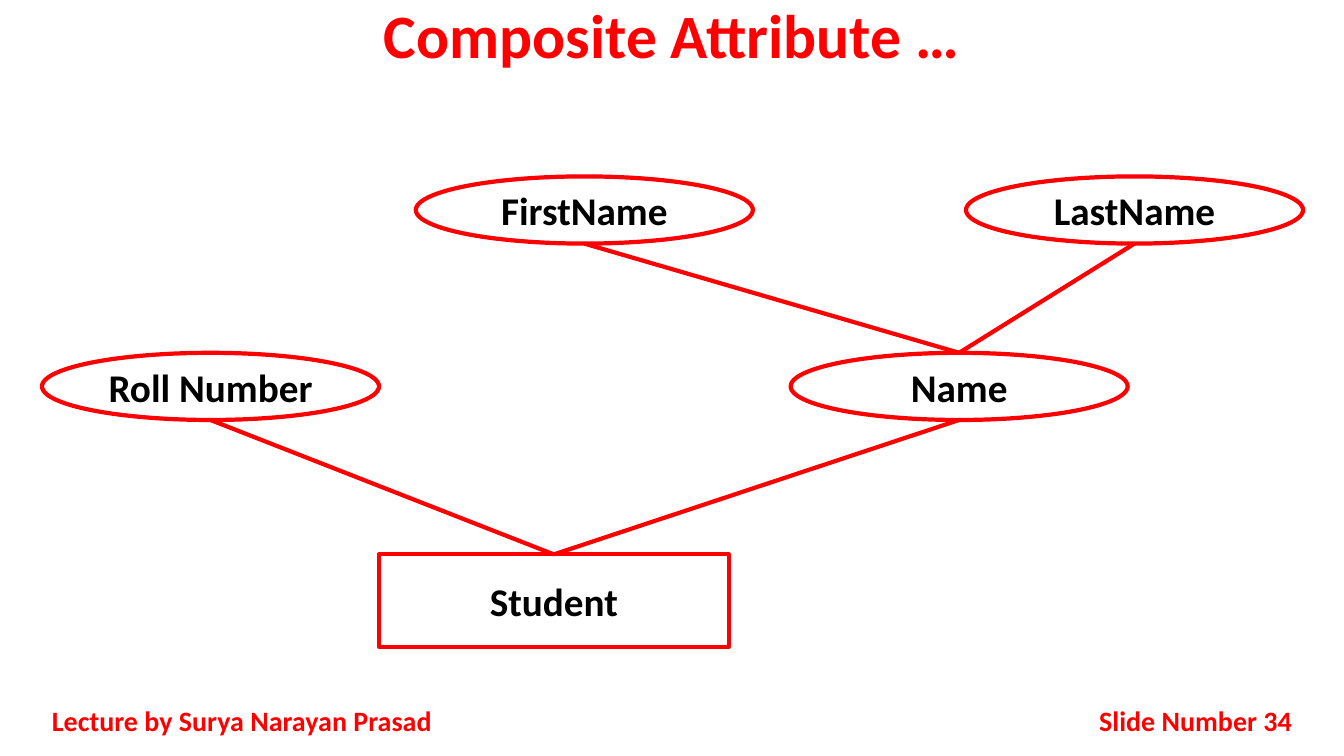
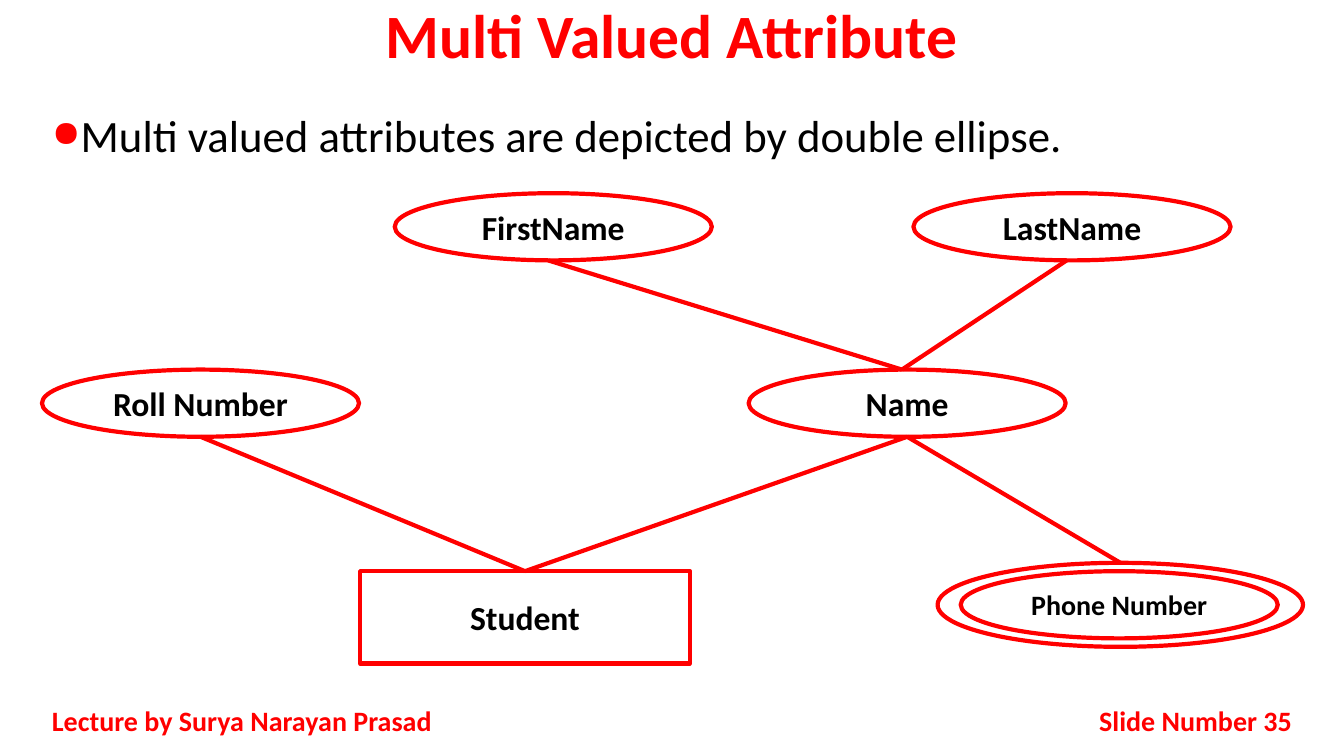
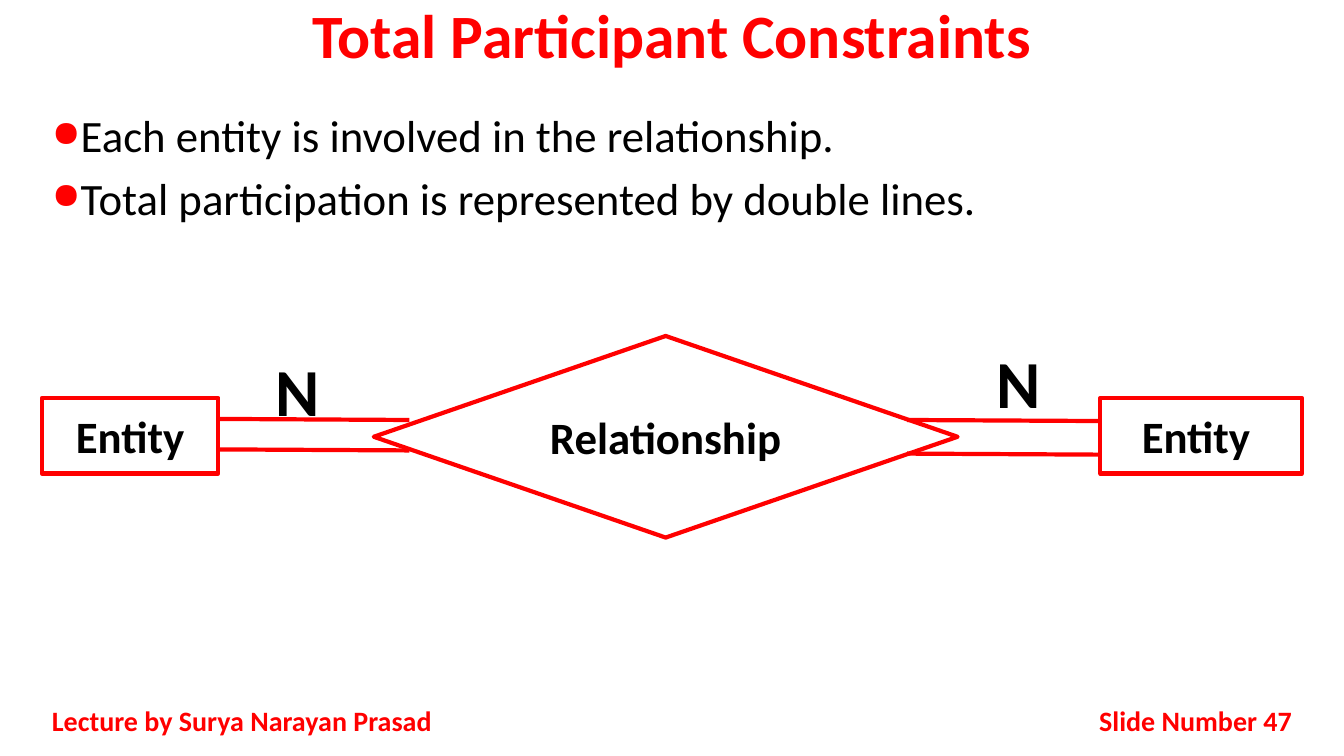
from lxml import etree
from pptx import Presentation
from pptx.dml.color import RGBColor
from pptx.enum import shapes, text
from pptx.oxml import ns
from pptx.util import Emu, Pt

PX = 9525  # EMU in one px, at 96 px to the inch
COLORS = {"accent": "FF0000", "ink": "000000"}
ALIGN = text.PP_ALIGN
ANCHOR = text.MSO_ANCHOR
PRESET = shapes.MSO_SHAPE


def px(*lengths):
    return [Emu(length * PX) for length in lengths]


def color(name):
    return RGBColor.from_string(COLORS[name])


class Deck:
    """Holds the lecture style and the slide being filled."""

    FONT = "Calibri"
    LINE_WIDTH = Pt(3)
    AUTHOR = "Lecture by Surya Narayan Prasad"

    def __init__(self):
        self.presentation = Presentation()
        size = px(1280, 720)
        self.presentation.slide_width, self.presentation.slide_height = size
        self.slide = None

    def new_slide(self, title, number):
        layout = self.presentation.slide_layouts[6]
        self.slide = self.presentation.slides.add_slide(layout)
        self.text_box((0, 0, 1280, 80), title, 44, "accent", spacing=0.9)
        footer = {"size": 20, "ink": "accent", "anchor": ANCHOR.MIDDLE}
        self.text_box((40, 667, 400, 38), self.AUTHOR,
                      align=ALIGN.JUSTIFY, **footer)
        self.text_box((976, 667, 264, 38), f"Slide Number {number}",
                      align=ALIGN.RIGHT, **footer)

    # Text
    def fill_paragraph(self, paragraph, words, size, ink="ink", bold=True,
                       align=ALIGN.CENTER, spacing=None):
        paragraph.alignment = align
        paragraph.line_spacing = spacing
        run = paragraph.add_run()
        run.text = words
        style = {"name": self.FONT, "size": Pt(size), "bold": bold}
        for attribute, value in style.items():
            setattr(run.font, attribute, value)
        run.font.color.rgb = color(ink)

    def text_box(self, box, words, size, ink="ink", anchor=ANCHOR.TOP, **style):
        frame = self.slide.shapes.add_textbox(*px(*box)).text_frame
        frame.word_wrap = True
        frame.vertical_anchor = anchor
        self.fill_paragraph(frame.paragraphs[0], words, size, ink, **style)

    def bullets(self, *items):
        frame = self.slide.shapes.add_textbox(*px(40, 104, 1200, 536)).text_frame
        frame.word_wrap = True
        for index, item in enumerate(items):
            paragraph = frame.add_paragraph() if index else frame.paragraphs[0]
            self.fill_paragraph(paragraph, item, 32, bold=False,
                                align=ALIGN.JUSTIFY, spacing=0.9)
            paragraph.space_before = Pt(10)
            self.add_bullet(paragraph)

    def add_bullet(self, paragraph):
        properties = paragraph._p.get_or_add_pPr()
        properties.set("marL", str(24 * PX))
        properties.set("indent", str(-24 * PX))
        bullet_color = etree.SubElement(properties, ns.qn("a:buClr"))
        etree.SubElement(bullet_color, ns.qn("a:srgbClr"), val=COLORS["accent"])
        etree.SubElement(properties, ns.qn("a:buSzPct"), val="81000")
        etree.SubElement(properties, ns.qn("a:buChar"), char="●")

    # Diagram parts
    def outline(self, preset, box, words="", size=28):
        shape = self.slide.shapes.add_shape(preset, *px(*box))
        shape.shadow.inherit = False
        shape.fill.background()
        shape.line.color.rgb = color("accent")
        shape.line.width = self.LINE_WIDTH
        shape.text_frame.vertical_anchor = ANCHOR.MIDDLE
        if words:
            self.fill_paragraph(shape.text_frame.paragraphs[0], words, size)
        return shape

    def entity(self, box, words, size):
        return self.outline(PRESET.RECTANGLE, box, words, size)

    def attribute(self, box, words="", size=28):
        return self.outline(PRESET.OVAL, box, words, size)

    def line(self, *ends):
        connector = self.slide.shapes.add_connector(
            shapes.MSO_CONNECTOR.STRAIGHT, *ends)
        connector.line.color.rgb = color("accent")
        connector.line.width = self.LINE_WIDTH
        etree.SubElement(connector._element.spPr, ns.qn("a:effectLst"))

    def join(self, upper, lower, shift=0):
        """Line from the foot of the upper shape to the top of the lower."""
        start, end = (Emu(shape.left + shape.width // 2 + shift * PX)
                      for shape in (upper, lower))
        self.line(start, upper.top + upper.height, end, lower.top)

    def student_diagram(self, student, lefts, top, width, size, shift=0):
        """Student entity with its attributes; lefts maps name to left edge."""
        root = self.entity(student, "Student", size)
        rows = {"Roll Number": 168, "Name": 168, "LastName": 0, "FirstName": 0}
        nodes = {name: self.attribute((lefts[name], top + row, width, 64),
                                      name, size)
                 for name, row in rows.items()}
        for name in ("Roll Number", "Name"):
            self.join(nodes[name], root)
        for name in ("FirstName", "LastName"):
            self.join(nodes[name], nodes["Name"], shift)
        return nodes


def main():
    deck = Deck()

    # Composite attribute
    deck.new_slide("Composite Attribute …", 34)
    deck.student_diagram(
        (361, 528, 333, 88),
        {"Roll Number": 40, "Name": 753, "LastName": 920, "FirstName": 396},
        top=168, width=321, size=28)

    # Multi valued attribute
    deck.new_slide("Multi Valued Attribute", 35)
    deck.bullets("Multi valued attributes are depicted by double ellipse.")
    nodes = deck.student_diagram(
        (343, 544, 314, 88),
        {"Roll Number": 40, "Name": 713, "LastName": 870, "FirstName": 376},
        top=184, width=302, size=24, shift=-5)
    phone_ring = deck.attribute((893, 536, 348, 80))
    deck.attribute((915, 544, 302, 64), "Phone Number", 20)
    deck.join(nodes["Name"], phone_ring)

    # Total participation
    deck.new_slide("Total Participant Constraints", 47)
    deck.bullets("Each entity is involved in the relationship.",
                 "Total participation is represented by double lines.")
    deck.entity((40, 379, 168, 72), "Entity", 32)
    deck.entity((1048, 379, 192, 72), "Entity ", 32)
    deck.outline(PRESET.FLOWCHART_DECISION, (356, 320, 556, 192),
                 "Relationship", 32)
    for left, top in ((215, 328), (902, 320)):
        deck.text_box((left, top, 137, 87), "N", 48)
    for left, tops in ((208, (399, 428)), (864, (400, 432))):
        for top in tops:
            deck.line(*px(left, top, left + 182, top + 1))

    deck.presentation.save("out.pptx")


if __name__ == "__main__":
    main()
